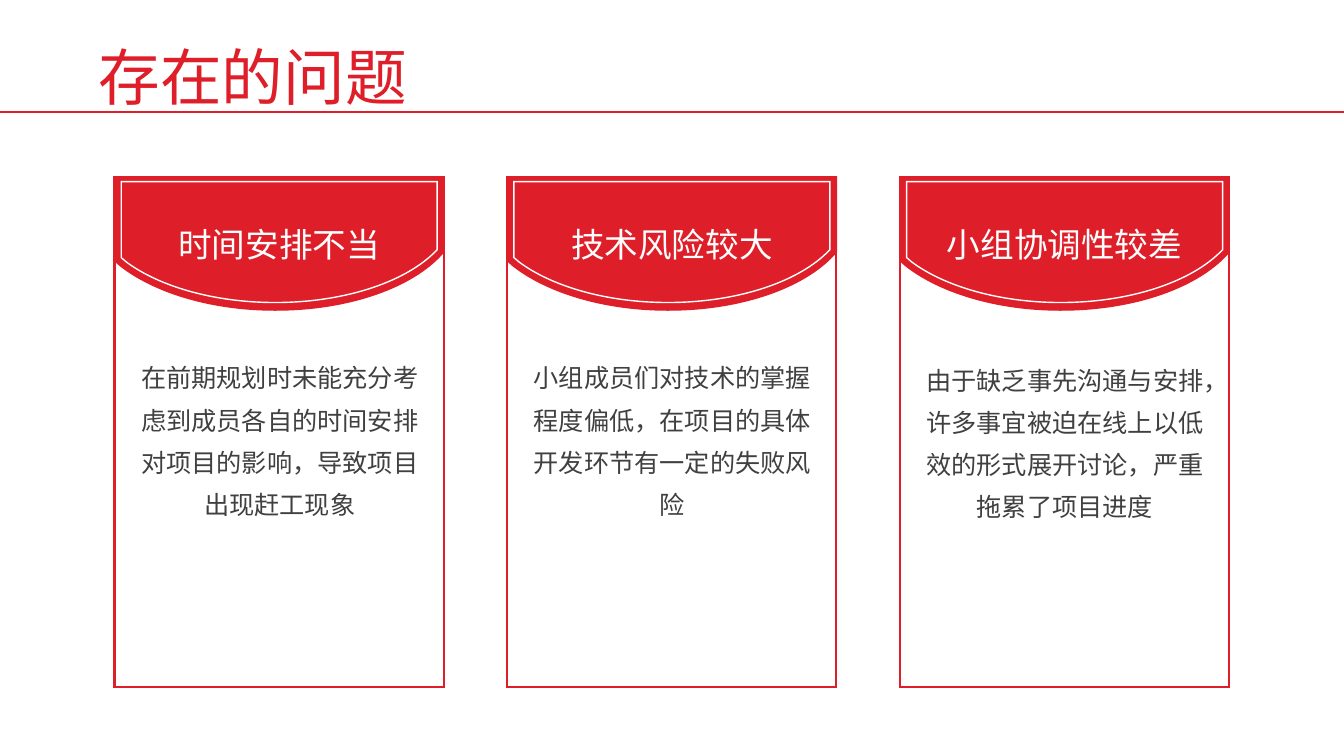
from dataclasses import dataclass

from lxml.etree import SubElement
from pptx import Presentation
from pptx.dml.color import RGBColor
from pptx.enum.shapes import MSO_CONNECTOR, MSO_SHAPE
from pptx.enum.text import MSO_ANCHOR, PP_ALIGN
from pptx.oxml.ns import qn
from pptx.util import Pt

TITLE = "存在的问题"
PROBLEMS = [
    ("时间安排不当", "在前期规划时未能充分考虑到成员各自的时间安排对项目的影响，导致项目出现赶工现象"),
    ("技术风险较大", "小组成员们对技术的掌握程度偏低，在项目的具体开发环节有一定的失败风险"),
    ("小组协调性较差", "由于缺乏事先沟通与安排，许多事宜被迫在线上以低效的形式展开讨论，严重拖累了项目进度"),
]


@dataclass(frozen=True)
class Theme:
    font: str = "Noto Sans CJK SC"
    red: RGBColor = RGBColor(0xDE, 0x1E, 0x28)
    white: RGBColor = RGBColor(0xFF, 0xFF, 0xFF)
    grey: RGBColor = RGBColor(0x40, 0x40, 0x40)
    title_size: int = 44
    heading_size: int = 24
    body_size: int = 18


THEME = Theme()
SLIDE_W, SLIDE_H = 960, 540
CARD_LEFT, CARD_TOP, CARD_W, CARD_H = 81.8, 126.5, 235.2, 364.2
CARD_STEP = 280.5
BODY_TOPS = (236, 236, 237.6)

# Measured from the card corner: straight corners, two cubic curves, left end
BANNER = dict(
    corners=[(0, 0), (235.2, 0), (235.2, 53.5), (231.6, 57.3)],
    curves=[[(209.2, 80), (165.3, 95), (114.8, 95)],
            [(68.7, 95), (28.2, 82.2), (4, 63.2)]],
    end=(0, 59.6))
INNER_RIM = dict(
    corners=[(4.8, 3.2), (230.5, 3.2), (230.5, 51.9), (227.4, 55)],
    curves=[[(205.4, 75.7), (163.2, 89.6), (114.8, 89.6)],
            [(70.8, 89.6), (32, 78), (8.7, 60.8)]],
    end=(4.8, 57.5))


def paint(shape, fill, line, width):
    shape.shadow.inherit = False
    if fill is None:
        shape.fill.background()
    else:
        shape.fill.solid()
        shape.fill.fore_color.rgb = fill
    shape.line.color.rgb = line
    shape.line.width = Pt(width)
    SubElement(shape.line._get_or_add_ln(), qn("a:miter")).set("lim", "800000")


def bend(shape, first, count):
    """Turn each three straight segments, from the given one on, into a cubic curve."""
    segments = list(shape._element.iter(qn("a:lnTo")))
    for start in range(first, first + 3 * count, 3):
        curve, *others = segments[start:start + 3]
        curve.tag = qn("a:cubicBezTo")
        for other in others:
            curve.append(other[0])
            other.getparent().remove(other)


def add_outline(slide, left, top, outline, fill, line):
    corners, curves = outline["corners"], outline["curves"]
    points = corners + sum(curves, []) + [outline["end"]]
    placed = [(Pt(left + x), Pt(top + y)) for x, y in points]
    builder = slide.shapes.build_freeform(*placed[0])
    builder.add_line_segments(placed[1:], close=True)
    shape = builder.convert_to_shape()
    bend(shape, len(corners) - 1, len(curves))
    paint(shape, fill, line, 1)


def add_text(slide, words, box, size, color, spacing, align=PP_ALIGN.CENTER,
             anchor=MSO_ANCHOR.MIDDLE, inset=None, after=0):
    label = slide.shapes.add_textbox(*map(Pt, box))
    frame = label.text_frame
    frame.word_wrap = True
    frame.vertical_anchor = anchor
    if inset is not None:
        frame.margin_left = frame.margin_right = Pt(inset)
        frame.margin_top = frame.margin_bottom = Pt(inset)
    frame.text = words
    paragraph = frame.paragraphs[0]
    paragraph.alignment = align
    paragraph.line_spacing = spacing
    paragraph.space_after = Pt(after)
    font = paragraph.runs[0].font
    font.size = Pt(size)
    font.color.rgb = color
    font.name = THEME.font
    properties = paragraph.runs[0]._r.get_or_add_rPr()
    SubElement(properties, qn("a:ea")).set("typeface", THEME.font)


def add_card(slide, left, heading, body, body_top):
    frame = slide.shapes.add_shape(
        MSO_SHAPE.RECTANGLE, Pt(left), Pt(CARD_TOP), Pt(CARD_W), Pt(CARD_H))
    paint(frame, THEME.white, THEME.red, 1.5)
    add_outline(slide, left, CARD_TOP, BANNER, THEME.red, THEME.red)
    add_outline(slide, left, CARD_TOP, INNER_RIM, None, THEME.white)
    add_text(slide, heading, (left + 4.8, 153.6, 225.6, 38.9),
             THEME.heading_size, THEME.white, 1.1)
    add_text(slide, body, (left + 1.3, body_top, 233.3, 236.9),
             THEME.body_size, THEME.grey, 1.4,
             anchor=MSO_ANCHOR.TOP, inset=14.4, after=6)


def add_title_rule(slide):
    rule = slide.shapes.add_connector(
        MSO_CONNECTOR.STRAIGHT, Pt(0), Pt(80), Pt(SLIDE_W), Pt(80))
    rule.line.color.rgb = THEME.red
    rule.line.width = Pt(1.5)
    SubElement(rule._element.spPr, qn("a:effectLst"))


def main():
    deck = Presentation()
    deck.slide_width, deck.slide_height = Pt(SLIDE_W), Pt(SLIDE_H)
    slide = deck.slides.add_slide(deck.slide_layouts[6])
    add_text(slide, TITLE, (63.4, 31.4, 706.3, 52.6), THEME.title_size,
             THEME.red, 0.9, align=PP_ALIGN.LEFT)
    for index, ((heading, body), body_top) in enumerate(zip(PROBLEMS, BODY_TOPS)):
        add_card(slide, CARD_LEFT + index * CARD_STEP, heading, body, body_top)
    add_title_rule(slide)
    deck.save("out.pptx")


if __name__ == "__main__":
    main()
